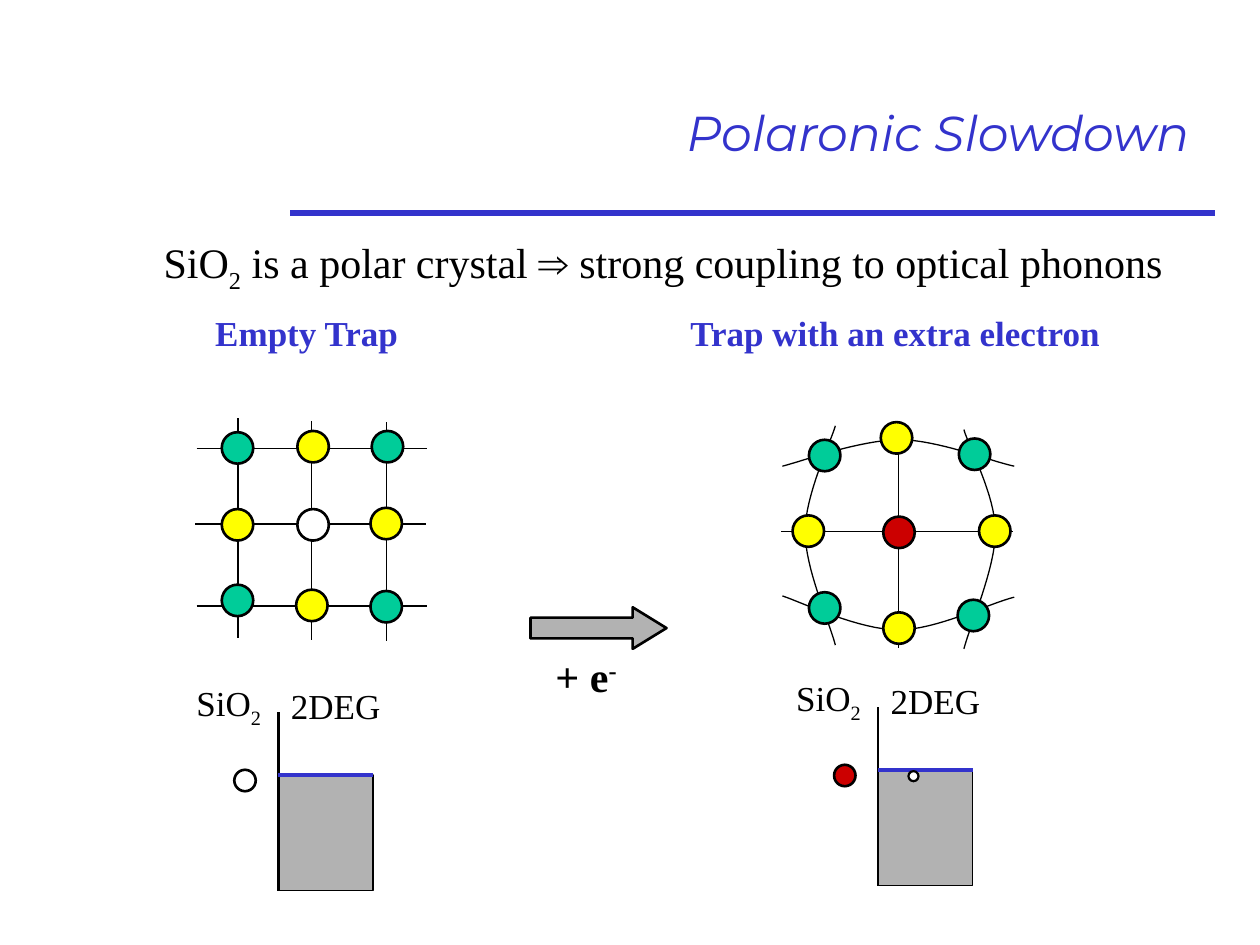
from lxml.etree import SubElement
from pptx import Presentation
from pptx.dml.color import RGBColor
from pptx.enum.shapes import MSO_CONNECTOR, MSO_SHAPE
from pptx.enum.text import MSO_ANCHOR, MSO_AUTO_SIZE, PP_ALIGN
from pptx.oxml.ns import qn
from pptx.util import Inches, Pt

COLORS = {
    "blue": "3333CC", "black": "000000", "white": "FFFFFF", "green": "00CC99",
    "yellow": "FFFF00", "red": "CC0000", "gray": "B2B2B2",
}
SERIF = "Times New Roman"
ATOM = 0.25
CURVE_STEPS = 16

prs = Presentation()
prs.slide_width, prs.slide_height = Inches(10), Inches(7.5)
slide = prs.slides.add_slide(prs.slide_layouts[5])


def style_shape(s, fill, width):
    s.shadow.inherit = False
    if fill:
        s.fill.solid()
        s.fill.fore_color.rgb = RGBColor.from_string(COLORS[fill])
    else:
        s.fill.background()
    s.line.color.rgb = RGBColor.from_string(COLORS["black"])
    s.line.width = Pt(width)


def add_line(x1, y1, x2, y2, color, width):
    c = slide.shapes.add_connector(
        MSO_CONNECTOR.STRAIGHT, Inches(x1), Inches(y1), Inches(x2), Inches(y2))
    c.line.color.rgb = RGBColor.from_string(COLORS[color])
    c.line.width = Pt(width)
    SubElement(c._element.spPr, qn("a:effectLst"))


title = slide.shapes.title
title.left, title.top = Inches(2.93), Inches(0.46)
title.width, title.height = Inches(6.71), Inches(1.18)
tf = title.text_frame
tf.vertical_anchor = MSO_ANCHOR.MIDDLE
p = tf.paragraphs[0]
p.alignment = PP_ALIGN.RIGHT
r = p.add_run()
r.text = "Polaronic Slowdown "
r.font.name, r.font.size, r.font.italic = "Montserrat", Pt(28), True
r.font.color.rgb = RGBColor.from_string(COLORS["blue"])
add_line(9.64, 1.69, 2.3, 1.69, "blue", 3)

bent_bonds = [
    [(6.63, 3.38), (6.59, 3.52), (6.39, 3.93), (6.39, 4.22),
     (6.39, 4.51), (6.58, 4.93), (6.63, 5.12)],
    [(7.65, 3.41), (7.69, 3.55), (7.9, 3.93), (7.9, 4.22),
     (7.9, 4.51), (7.7, 4.96), (7.65, 5.15)],
    [(6.21, 4.73), (6.36, 4.78), (6.82, 5), (7.13, 5),
     (7.43, 5), (7.85, 4.79), (8.05, 4.74)],
    [(6.21, 3.7), (6.37, 3.66), (6.83, 3.49), (7.14, 3.49),
     (7.44, 3.49), (7.86, 3.66), (8.05, 3.7)],
]
for bond in bent_bonds:
    points = []
    for start in (0, 3):
        for step in range(1, CURVE_STEPS + 1):
            t = step / CURVE_STEPS
            weights = ((1 - t) ** 3, 3 * t * (1 - t) ** 2, 3 * t ** 2 * (1 - t), t ** 3)
            controls = bond[start:start + 4]
            points.append(tuple(
                Inches(sum(w * c[axis] for w, c in zip(weights, controls)))
                for axis in (0, 1)))
    x, y = bond[0]
    builder = slide.shapes.build_freeform(Inches(x), Inches(y))
    builder.add_line_segments(points, close=False)
    style_shape(builder.convert_to_shape(), None, 0.75)

straight_bonds = [
    (7.13, 3.4, 7.13, 5.14), (6.2, 4.22, 8.04, 4.22),
    (1.89, 3.32, 1.89, 5.06), (2.47, 3.34, 2.47, 5.08), (3.07, 3.35, 3.07, 5.09),
    (1.56, 4.81, 3.39, 4.81), (1.55, 4.16, 3.38, 4.16), (1.56, 3.56, 3.39, 3.56),
]
for bond in straight_bonds:
    add_line(*bond, "black", 0.75)

atoms = {
    "green": [(6.42, 3.49), (6.42, 4.7), (7.6, 4.76), (7.61, 3.48),
              (1.76, 3.43), (1.76, 4.64), (2.94, 4.69), (2.95, 3.42)],
    "yellow": [(7.77, 4.09), (7.01, 4.86), (6.29, 4.09), (6.99, 3.35),
               (2.94, 4.03), (2.35, 4.68), (1.76, 4.04), (2.36, 3.42)],
    "red": [(7.01, 4.1)],
    "white": [(2.36, 4.04)],
}
for color, places in atoms.items():
    for x, y in places:
        s = slide.shapes.add_shape(
            MSO_SHAPE.OVAL, Inches(x), Inches(y), Inches(ATOM), Inches(ATOM))
        style_shape(s, color, 1.5)

arrow = slide.shapes.add_shape(
    MSO_SHAPE.RIGHT_ARROW, Inches(4.21), Inches(4.82), Inches(1.08), Inches(0.33))
arrow.adjustments[0], arrow.adjustments[1] = 0.5, 0.813
style_shape(arrow, "gray", 1.5)

texts = [
    (1.2, 1.83, 8.15, 0.56, 24, "black", False,
     [("SiO", SERIF, 0), ("2", SERIF, -25), (" is a polar crystal ", SERIF, 0),
      ("⇒", "Arial", 0), (" strong coupling to optical phonons", SERIF, 0)]),
    (1.61, 2.42, 1.67, 0.44, 20, "blue", True, [("Empty Trap", SERIF, 0)]),
    (5.38, 2.42, 3.48, 0.44, 20, "blue", True,
     [("Trap with an extra electron", SERIF, 0)]),
    (4.31, 5.11, 0.72, 0.5, 24, "black", True, [("+ e", SERIF, 0), ("-", SERIF, 30)]),
]

for x, y, trap in [(2.21, 6.15, "white"), (6.97, 6.11, "red")]:
    well = slide.shapes.add_shape(
        MSO_SHAPE.RECTANGLE, Inches(x), Inches(y), Inches(0.75), Inches(0.92))
    style_shape(well, "gray", 0.75)
    add_line(x, y + 0.92, x, y - 0.5, "black", 1.5)
    add_line(x, y, x + 0.75, y, "blue", 2)
    s = slide.shapes.add_shape(
        MSO_SHAPE.OVAL, Inches(x - 0.35), Inches(y - 0.04), Inches(0.17), Inches(0.17))
    style_shape(s, trap, 1.5)
    texts += [
        (x, y - 0.77, 0.91, 0.44, 20, "black", False, [("2DEG", SERIF, 0)]),
        (x - 0.75, y - 0.79, 0.75, 0.48, 20, "black", False,
         [("SiO", SERIF, 0), ("2", SERIF, -25)]),
    ]

hole = slide.shapes.add_shape(
    MSO_SHAPE.OVAL, Inches(7.21), Inches(6.12), Inches(0.08), Inches(0.08))
style_shape(hole, "white", 1.25)

for x, y, w, h, size, color, bold, runs in texts:
    tf = slide.shapes.add_textbox(Inches(x), Inches(y), Inches(w), Inches(h)).text_frame
    tf.word_wrap = False
    tf.auto_size = MSO_AUTO_SIZE.SHAPE_TO_FIT_TEXT
    p = tf.paragraphs[0]
    for text, font, baseline in runs:
        r = p.add_run()
        r.text = text
        r.font.name, r.font.size, r.font.bold = font, Pt(size), bold
        r.font.color.rgb = RGBColor.from_string(COLORS[color])
        if baseline:
            r._r.get_or_add_rPr().set("baseline", str(baseline * 1000))

prs.save("out.pptx")
